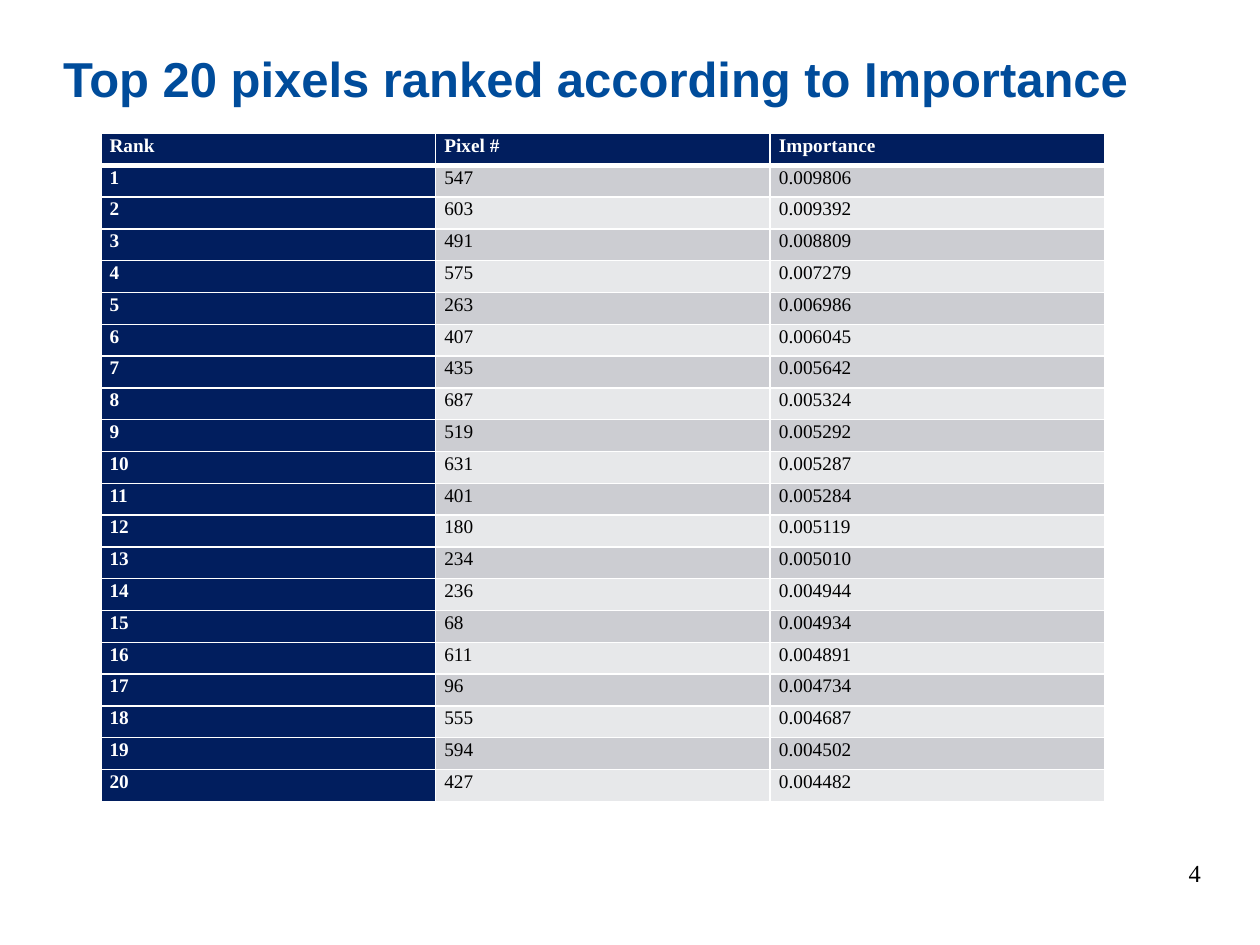
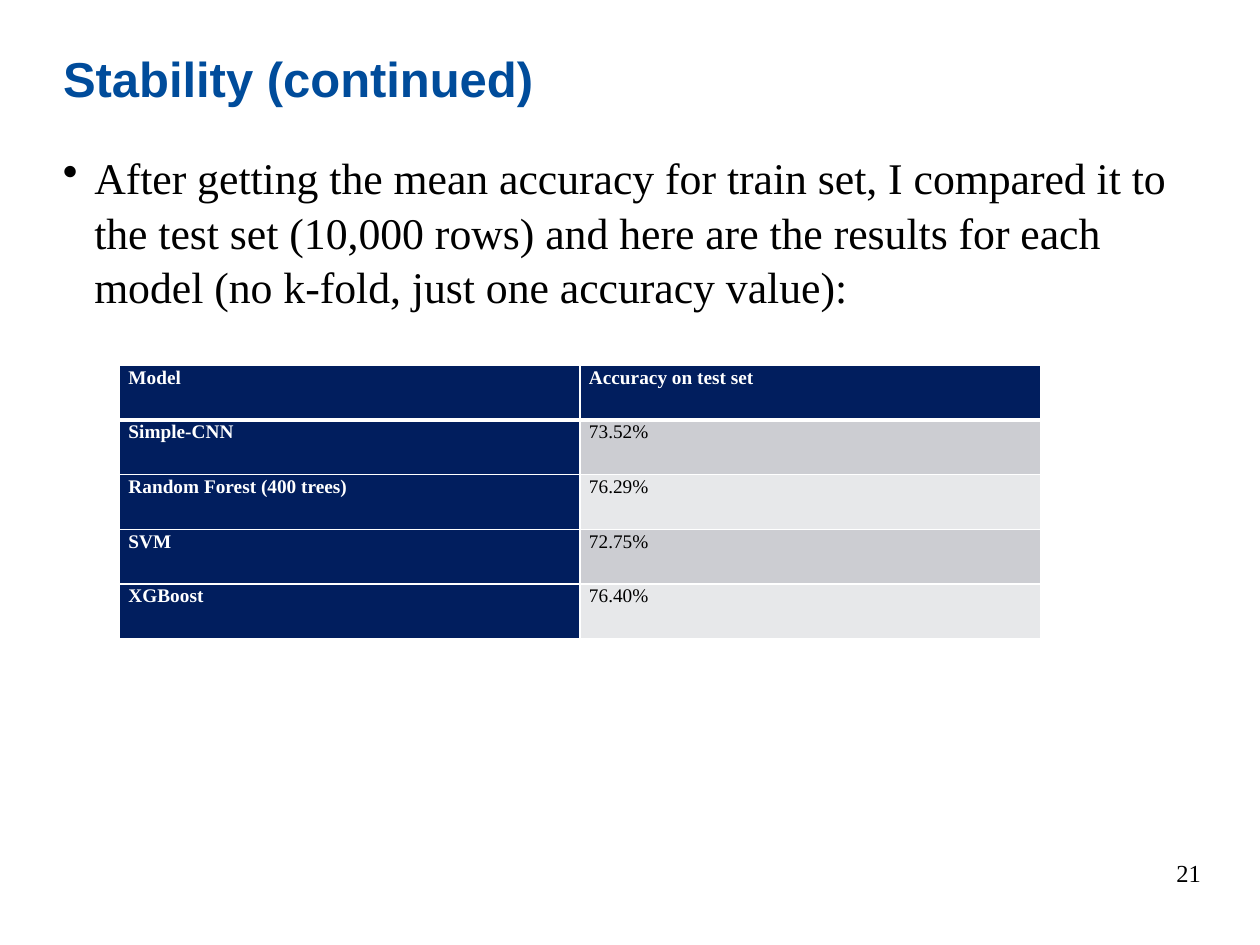
import lxml.etree
import pptx
import pptx.dml.color
import pptx.enum.text
import pptx.oxml.ns
import pptx.util

# Grid: 100 columns by 75 rows on a 10 by 7.5 inch slide
COLUMNS, ROWS = 100, 75
SLIDE_WIDTH, SLIDE_HEIGHT = pptx.util.Inches(10), pptx.util.Inches(7.5)

# Shared look
HEADING_FONT, BODY_FONT = "Arial", "Times New Roman"
BLUE, NAVY, BLACK, WHITE = "004C9B", "011E5E", "000000", "FFFFFF"
BANDS = ("CCCDD2", "E7E8EA")
ALIGN = pptx.enum.text.PP_ALIGN
ANCHOR = pptx.enum.text.MSO_ANCHOR

IMPORTANCE_ROWS = [
    ("547", "0.009806"), ("603", "0.009392"), ("491", "0.008809"), ("575", "0.007279"),
    ("263", "0.006986"), ("407", "0.006045"), ("435", "0.005642"), ("687", "0.005324"),
    ("519", "0.005292"), ("631", "0.005287"), ("401", "0.005284"), ("180", "0.005119"),
    ("234", "0.005010"), ("236", "0.004944"), ("68", "0.004934"), ("611", "0.004891"),
    ("96", "0.004734"), ("555", "0.004687"), ("594", "0.004502"), ("427", "0.004482"),
]
ACCURACY_ROWS = [
    ("Simple-CNN", "73.52%"),
    ("Random Forest (400 trees)", "76.29%"),
    ("SVM", "72.75%"),
    ("XGBoost", "76.40%"),
]


def color(value):
    return pptx.dml.color.RGBColor.from_string(value)


def grid(left, top, width, height):
    """Turn grid columns and rows into slide lengths."""
    column, row = SLIDE_WIDTH / COLUMNS, SLIDE_HEIGHT / ROWS
    return [round(length) for length in (left * column, top * row, width * column, height * row)]


def add_element(parent, tag, **attributes):
    element = lxml.etree.SubElement(parent, pptx.oxml.ns.qn(tag))
    for name, value in attributes.items():
        element.set(name, str(value))
    return element


def add_bullet(paragraph, indent):
    properties = paragraph._p.get_or_add_pPr()
    properties.set("marL", str(indent))
    properties.set("indent", str(-indent))
    add_element(add_element(properties, "a:buClr"), "a:srgbClr", val=BLACK)
    add_element(properties, "a:buChar", char="•")


def write_text(frame, text, size=11, font=BODY_FONT, fill=BLACK, bold=False,
               align=ALIGN.LEFT, spacing=None, after=0, bullet_indent=None):
    paragraph = frame.paragraphs[0]
    paragraph.text = text
    if bullet_indent:
        add_bullet(paragraph, bullet_indent)
    paragraph.alignment = align
    paragraph.line_spacing = spacing
    paragraph.space_before = pptx.util.Pt(0)
    paragraph.space_after = pptx.util.Pt(after)
    paragraph.font.size = pptx.util.Pt(size)
    paragraph.font.name = font
    paragraph.font.bold = bold
    paragraph.font.color.rgb = color(fill)


def add_text_box(slide, place, text, anchor=ANCHOR.TOP, **text_format):
    frame = slide.shapes.add_textbox(*grid(*place)).text_frame
    frame.word_wrap = True
    frame.vertical_anchor = anchor
    write_text(frame, text, **text_format)
    return frame


def add_titled_slide(presentation, title, number, title_rows):
    slide = presentation.slides.add_slide(presentation.slide_layouts[5])
    shape = slide.shapes.title
    shape.left, shape.top, shape.width, shape.height = grid(4, 4.3, 92.4, title_rows)
    frame = shape.text_frame
    frame.auto_size = pptx.enum.text.MSO_AUTO_SIZE.NONE
    frame.vertical_anchor = ANCHOR.TOP
    write_text(frame, title, size=28, font=HEADING_FONT, fill=BLUE, bold=True,
               spacing=pptx.util.Pt(26.6))
    add_text_box(slide, (88.9, 67.3, 7.4, 4), number, anchor=ANCHOR.MIDDLE,
                 size=14, align=ALIGN.RIGHT)
    return slide


def add_cell_borders(cell, **widths):
    properties = cell._tc.get_or_add_tcPr()
    for side in "LRTB":
        line = add_element(properties, f"a:ln{side}", w=pptx.util.Pt(widths.get(side, 1)))
        add_element(add_element(line, "a:solidFill"), "a:srgbClr", val=WHITE)


def add_data_table(slide, place, header, rows):
    """Navy header row and first column, banded values elsewhere."""
    records = [header, *rows]
    table = slide.shapes.add_table(len(records), len(header), *grid(*place)).table
    table.first_row = table.horz_banding = False
    for row_index, record in enumerate(records):
        for column_index, text in enumerate(record):
            cell = table.cell(row_index, column_index)
            heading = row_index == 0 or column_index == 0
            cell.margin_left = cell.margin_right = pptx.util.Inches(0.07)
            cell.margin_top = cell.margin_bottom = 0
            add_cell_borders(cell, T=3 if row_index == 1 else 1, B=3 if row_index == 0 else 1)
            cell.fill.solid()
            cell.fill.fore_color.rgb = color(NAVY if heading else BANDS[(row_index - 1) % 2])
            write_text(cell.text_frame, text, fill=WHITE if heading else BLACK,
                       bold=heading, spacing=1.07, after=8)


def main():
    presentation = pptx.Presentation()
    presentation.slide_width, presentation.slide_height = SLIDE_WIDTH, SLIDE_HEIGHT

    # Pixel importance ranking
    slide = add_titled_slide(presentation, "Top 20 pixels ranked according to Importance", "4", 11.7)
    ranking = [(str(rank), *values) for rank, values in enumerate(IMPORTANCE_ROWS, start=1)]
    add_data_table(slide, (8, 10.6, 79.7, 53), ("Rank", "Pixel #", "Importance"), ranking)

    # Test accuracy of each model
    slide = add_titled_slide(presentation, "Stability (continued)", "21", 6.7)
    frame = add_text_box(
        slide, (4, 11, 92.4, 51.2),
        "After getting the mean accuracy for train set, I compared it to the test set "
        "(10,000 rows) and here are the results for each model (no k-fold, just one "
        "accuracy value):",
        size=25, spacing=1.04, bullet_indent=pptx.util.Inches(0.25))
    frame.margin_top = pptx.util.Inches(0.08)
    add_data_table(slide, (9.5, 29, 73.1, 21.7), ("Model", "Accuracy on test set"), ACCURACY_ROWS)

    presentation.save("out.pptx")


if __name__ == "__main__":
    main()
